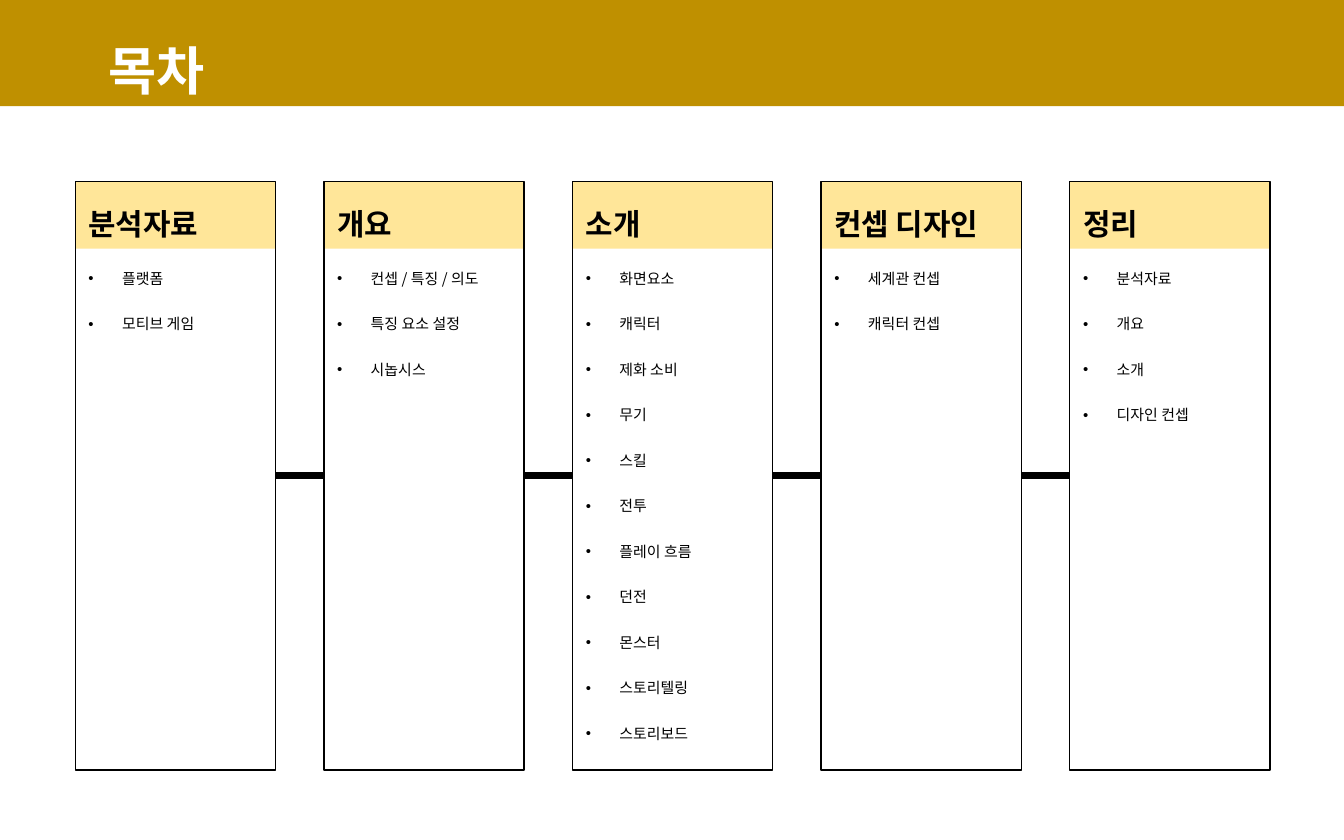
from dataclasses import dataclass

from lxml import etree
from pptx import Presentation
from pptx.dml.color import RGBColor
from pptx.enum.shapes import MSO_CONNECTOR, MSO_SHAPE
from pptx.enum.text import MSO_ANCHOR, PP_ALIGN
from pptx.oxml.ns import qn
from pptx.util import Inches, Pt

RECTANGLE = MSO_SHAPE.RECTANGLE
STRAIGHT = MSO_CONNECTOR.STRAIGHT
TOP, MIDDLE = MSO_ANCHOR.TOP, MSO_ANCHOR.MIDDLE
LEFT = PP_ALIGN.LEFT


@dataclass(frozen=True)
class Theme:
    font: str = "Noto Sans CJK KR"
    band: RGBColor = RGBColor(0xBF, 0x90, 0x00)
    heading_fill: RGBColor = RGBColor(0xFF, 0xE6, 0x99)
    ink: RGBColor = RGBColor(0, 0, 0)
    white: RGBColor = RGBColor(0xFF, 0xFF, 0xFF)
    title_size: int = 28
    heading_size: int = 16
    item_size: int = 8


THEME = Theme()
SLIDE_WIDTH, SLIDE_HEIGHT = 10, 6.25
COLUMN_LEFT, COLUMN_TOP = 0.56, 1.35
COLUMN_WIDTH, COLUMN_HEIGHT = 1.49, 4.38
COLUMN_STEP = 1.85
HEADING_HEIGHT = 0.5

TITLE = "목차"
SECTIONS = [
    ("분석자료", ["플랫폼", "모티브 게임"]),
    ("개요", ["컨셉 / 특징 / 의도", "특징 요소 설정", "시놉시스"]),
    ("소개", ["화면요소", "캐릭터", "제화 소비", "무기", "스킬", "전투",
            "플레이 흐름", "던전", "몬스터", "스토리텔링", "스토리보드"]),
    ("컨셉 디자인", ["세계관 컨셉", "캐릭터 컨셉"]),
    ("정리", ["분석자료", "개요", "소개", "디자인 컨셉"]),
]


def add_rectangle(slide, left, top, width, height, fill=None, line=None):
    rectangle = slide.shapes.add_shape(
        RECTANGLE, Inches(left), Inches(top), Inches(width), Inches(height))
    rectangle.shadow.inherit = False
    if fill is None:
        rectangle.fill.background()
    else:
        rectangle.fill.solid()
        rectangle.fill.fore_color.rgb = fill
    if line is None:
        rectangle.line.fill.background()
    else:
        rectangle.line.color.rgb = line
        rectangle.line.width = Pt(0.75)
    return rectangle


def add_bullet(paragraph):
    properties = paragraph._p.get_or_add_pPr()
    properties.set("marL", str(Inches(0.25)))
    properties.set("indent", str(-Inches(0.25)))
    etree.SubElement(properties, qn("a:buFont"), typeface="Arial")
    etree.SubElement(properties, qn("a:buChar"), char="•")


def write(frame, text, *, size, color=THEME.ink, bold=False, bullet=False,
          space_before=0):
    """Fill the frame's empty first paragraph, or append a new one."""
    first = frame.paragraphs[0]
    paragraph = first if not first.runs else frame.add_paragraph()
    if bullet:
        add_bullet(paragraph)
    paragraph.alignment = LEFT
    paragraph.line_spacing = 1.5
    paragraph.space_before = Pt(space_before)
    run = paragraph.add_run()
    run.text = text
    run.font.size = Pt(size)
    run.font.bold = bold
    run.font.color.rgb = color
    run.font.name = THEME.font
    etree.SubElement(run.font._element, qn("a:ea"), typeface=THEME.font)


def add_title(slide):
    add_rectangle(slide, 0, 0, SLIDE_WIDTH, 0.79, fill=THEME.band)
    title = slide.shapes.add_textbox(
        Inches(0.71), Inches(0.1), Inches(1.2), Inches(0.6))
    frame = title.text_frame
    frame.word_wrap = True
    frame.vertical_anchor = MIDDLE
    write(frame, TITLE, size=THEME.title_size, color=THEME.white, bold=True)


def add_section(slide, left, heading, items):
    add_rectangle(slide, left, COLUMN_TOP, COLUMN_WIDTH, HEADING_HEIGHT,
                  fill=THEME.heading_fill)
    column = add_rectangle(slide, left, COLUMN_TOP, COLUMN_WIDTH,
                           COLUMN_HEIGHT, line=THEME.ink)
    frame = column.text_frame
    frame.word_wrap = True
    frame.vertical_anchor = TOP
    write(frame, heading, size=THEME.heading_size, bold=True)
    for item in items:
        write(frame, item, size=THEME.item_size, bullet=True, space_before=10)


def add_link(slide, start, end):
    """Join two neighbouring columns at mid-height."""
    middle = Inches(COLUMN_TOP + COLUMN_HEIGHT / 2)
    link = slide.shapes.add_connector(
        STRAIGHT, Inches(start), middle, Inches(end), middle)
    link.line.color.rgb = THEME.ink
    link.line.width = Pt(4)
    etree.SubElement(link._element.spPr, qn("a:effectLst"))


def main():
    presentation = Presentation()
    presentation.slide_width = Inches(SLIDE_WIDTH)
    presentation.slide_height = Inches(SLIDE_HEIGHT)
    slide = presentation.slides.add_slide(presentation.slide_layouts[6])

    add_title(slide)
    lefts = [COLUMN_LEFT + i * COLUMN_STEP for i in range(len(SECTIONS))]
    for left, (heading, items) in zip(lefts, SECTIONS):
        add_section(slide, left, heading, items)
    for left, next_left in zip(lefts, lefts[1:]):
        add_link(slide, left + COLUMN_WIDTH, next_left)

    presentation.save("out.pptx")


if __name__ == "__main__":
    main()
